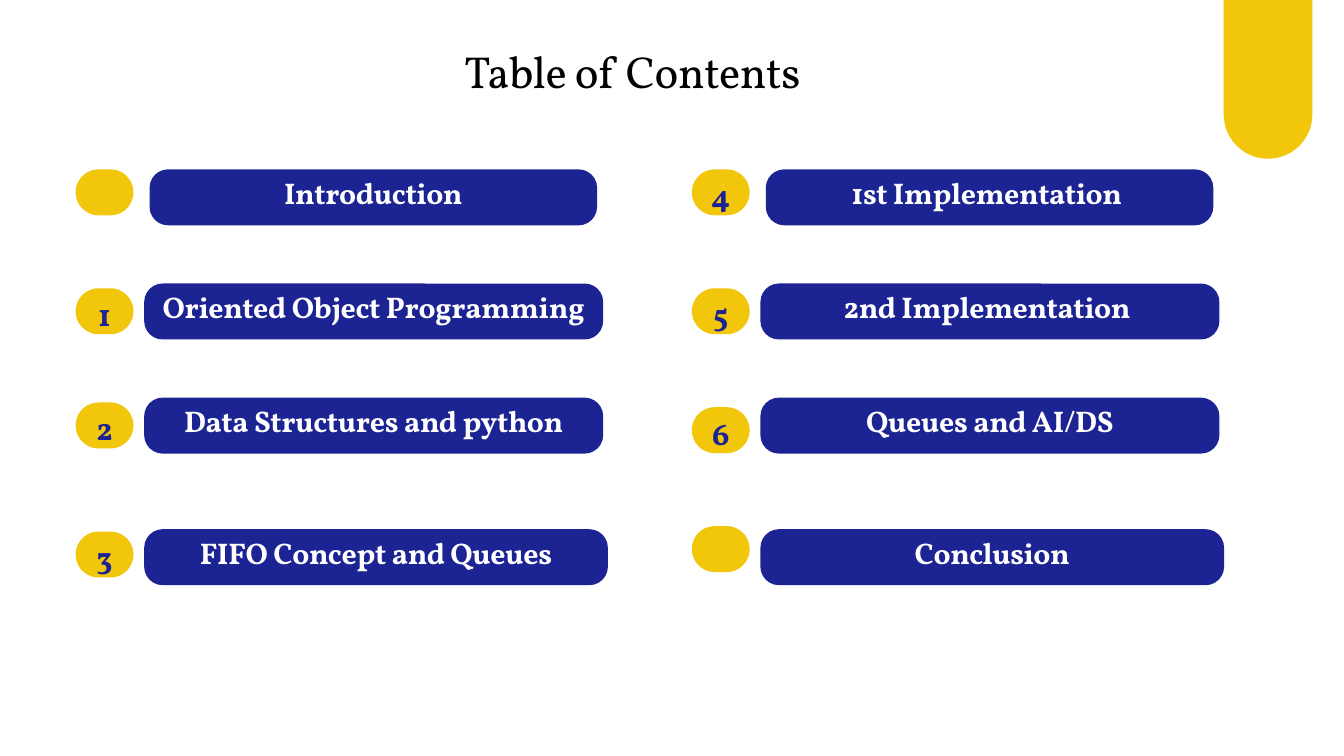
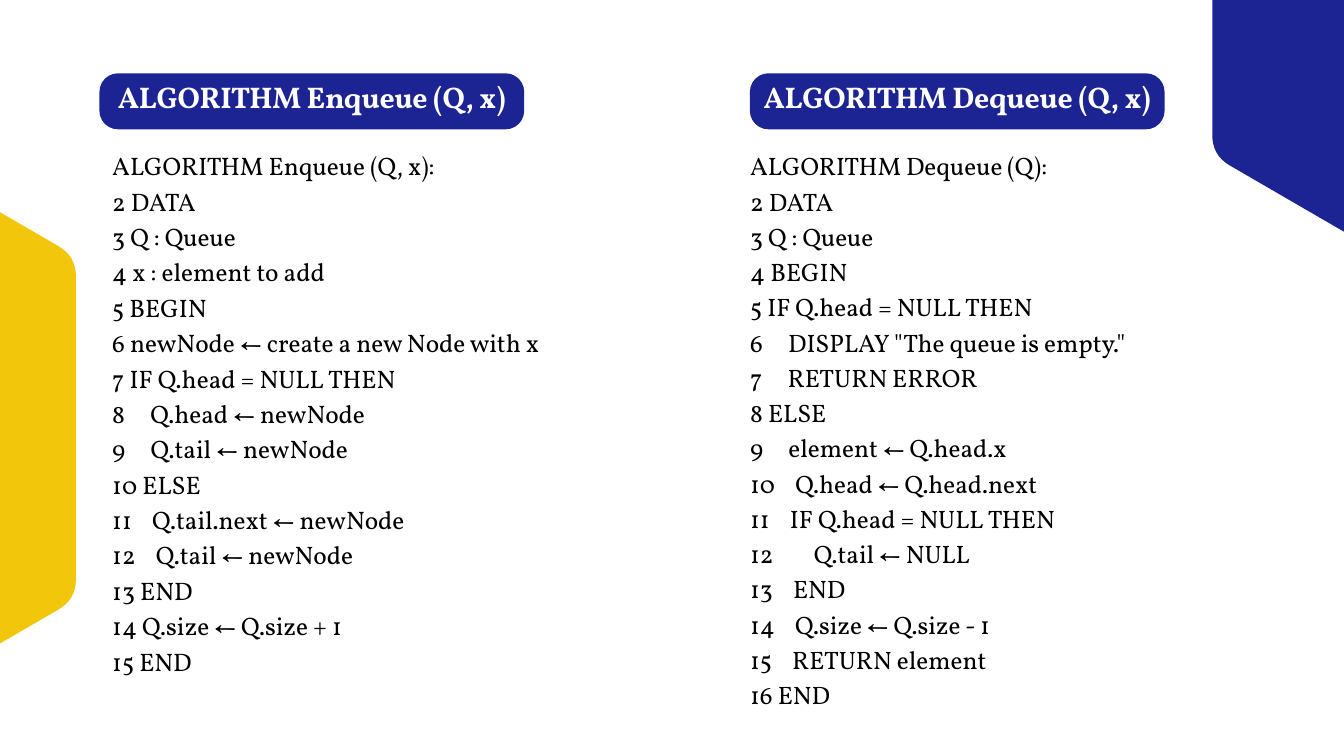
import math
from dataclasses import dataclass

from lxml import etree
from pptx import Presentation
from pptx.dml.color import RGBColor
from pptx.enum.shapes import MSO_SHAPE
from pptx.enum.text import MSO_ANCHOR, MSO_AUTO_SIZE, PP_ALIGN
from pptx.oxml.ns import qn
from pptx.util import Inches, Pt

ROUNDED = MSO_SHAPE.ROUNDED_RECTANGLE
TOP, MIDDLE = MSO_ANCHOR.TOP, MSO_ANCHOR.MIDDLE
LEFT, CENTER = PP_ALIGN.LEFT, PP_ALIGN.CENTER
NO_FIT = MSO_AUTO_SIZE.NONE
TITLE_ONLY, COMPARISON = 5, 4
WIDTH, HEIGHT = Inches(20), Inches(11.25)


@dataclass(frozen=True)
class Theme:
    font: str = "Vollkorn"
    blue: str = "1C2392"
    yellow: str = "F1C60B"
    white: str = "FFFFFF"
    black: str = "000000"
    leading: float = 1.4
    pill_radius: float = 0.33
    pill_height: float = 7.4


THEME = Theme()
STYLES = {
    "title": {"size": 48, "color": THEME.black, "bold": False, "spc": -50, "align": CENTER},
    "pill": {"size": 32, "color": THEME.white, "bold": True, "spc": -30, "align": CENTER},
    "number": {"size": 34, "color": THEME.blue, "bold": True, "spc": 0, "align": CENTER},
    "code": {"size": 27, "color": THEME.black, "bold": False, "spc": 0, "align": LEFT},
}
PILL_INSETS = (0.06, 0, 0.06, 0.23)

COLUMNS = (5.63, 51.48)
PILL_ROWS = ((5.5, 22.4, 33.3), (5.1, 37.5, 34.15), (5.1, 52.6, 34.15), (5.1, 70, 34.5))
DOT_TOPS = ((22.4, 38.13, 53.24, 70.31), [22.4 + 15.73 * i for i in range(4)])
CONTENTS = (
    (("", "Introduction"), ("1", "Oriented Object Programming"),
     ("2", "Data Structures and python"), ("3", "FIFO Concept and Queues")),
    (("4", "1st Implementation "), ("5", "2nd Implementation "),
     ("6", "Queues and AI/DS"), ("", "Conclusion")),
)

ENQUEUE = """ALGORITHM Enqueue (Q, x):
2 DATA
3 Q : Queue
4 x : element to add
5 BEGIN
6 newNode ← create a new Node with x
7 IF Q.head = NULL THEN
8     Q.head ← newNode
9     Q.tail ← newNode
10 ELSE
11    Q.tail.next ← newNode
12    Q.tail ← newNode
13 END
14 Q.size ← Q.size + 1
15 END"""

DEQUEUE = """ALGORITHM Dequeue (Q):
2 DATA
3 Q : Queue
4 BEGIN
5 IF Q.head = NULL THEN
6     DISPLAY "The queue is empty."
7     RETURN ERROR
8 ELSE
9     element ← Q.head.x
10    Q.head ← Q.head.next
11    IF Q.head = NULL THEN
12        Q.tail ← NULL
13    END
14    Q.size ← Q.size - 1
15    RETURN element
16 END"""

ALGORITHMS = (
    {"heading": "ALGORITHM Enqueue (Q, x)", "box": (7.4, 9.7, 31.6, THEME.pill_height),
     "code": ENQUEUE, "code_box": (8.35, 19.25, 35.1, 80), "size": 27.1},
    {"heading": "ALGORITHM Dequeue (Q, x)", "box": (55.8, 9.7, 30.85, THEME.pill_height),
     "code": DEQUEUE, "code_box": (55.82, 19.25, 30.6, 80), "size": 27},
)


def share(left, top, width, height):
    return [int(v * side / 100) for v, side in
            zip((left, top, width, height), (WIDTH, HEIGHT, WIDTH, HEIGHT))]


def paint(sp, color):
    sp.shadow.inherit = False
    sp.fill.solid()
    sp.fill.fore_color.rgb = RGBColor.from_string(color)
    sp.line.fill.background()


def rounded(slide, box, color, radius):
    sp = slide.shapes.add_shape(ROUNDED, *share(*box))
    sp.adjustments[0] = radius
    paint(sp, color)
    return sp


def format_paragraph(p, style):
    pPr = p._p.get_or_add_pPr()
    pPr.set("marL", "0")
    pPr.set("indent", "0")
    etree.SubElement(pPr, qn("a:buNone"))
    values = {"alignment": style["align"], "space_before": Pt(0), "space_after": Pt(0),
              "line_spacing": Pt(round(style["size"] * THEME.leading, 1))}
    for name, value in values.items():
        setattr(p, name, value)


def add_run(p, text, style):
    r = p.add_run()
    r.text = text
    for name, value in {"name": THEME.font, "size": Pt(style["size"]),
                        "bold": style["bold"]}.items():
        setattr(r.font, name, value)
    r.font.color.rgb = RGBColor.from_string(style["color"])
    r._r.get_or_add_rPr().set("spc", str(style["spc"]))


def write(sp, text, style, anchor=TOP, insets=(0, 0, 0, 0)):
    tf = sp.text_frame
    sides = ("margin_left", "margin_top", "margin_right", "margin_bottom")
    values = {"word_wrap": True, "auto_size": NO_FIT, "vertical_anchor": anchor}
    values.update(zip(sides, map(Inches, insets)))
    for name, value in values.items():
        setattr(tf, name, value)
    for i, line in enumerate(text.split("\n")):
        p = tf.add_paragraph() if i else tf.paragraphs[0]
        format_paragraph(p, style)
        add_run(p, line, style)


def fill_placeholder(sp, box, *args):
    sp.left, sp.top, sp.width, sp.height = share(*box)
    write(sp, *args)


def pill(slide, box):
    return rounded(slide, box, THEME.blue, THEME.pill_radius)


def number_dot(slide, left, top, number):
    box = (left, top, 4.3, 6.08)
    rounded(slide, box, THEME.yellow, 0.5)
    if number:
        write(slide.shapes.add_textbox(*share(*box)), number, STYLES["number"])


def hexagon(slide, center, width, color, rounding=Inches(0.3), stretch=1.005, steps=8):
    cx, cy, width, _ = share(*center, width, 0)
    radius = width / math.sqrt(3)
    corners = [(cx + radius * math.sin(k * math.pi / 3),
                cy - radius * stretch * math.cos(k * math.pi / 3)) for k in range(6)]
    points = []
    for k, (x, y) in enumerate(corners):
        (ax, ay), (bx, by) = [(x + (nx - x) * rounding / radius, y + (ny - y) * rounding / radius)
                              for nx, ny in (corners[k - 1], corners[(k + 1) % 6])]
        for i in range(steps + 1):
            t = i / steps
            a, b, c = (1 - t) ** 2, 2 * t * (1 - t), t ** 2
            points.append((round(a * ax + b * x + c * bx), round(a * ay + b * y + c * by)))
    builder = slide.shapes.build_freeform(*points[0])
    builder.add_line_segments(points[1:], close=True)
    sp = builder.convert_to_shape()
    paint(sp, color)
    return sp


def send_back(slide, sp):
    slide.shapes._spTree.insert(2, sp._element)


def contents_slide(prs):
    slide = prs.slides.add_slide(prs.slide_layouts[TITLE_ONLY])
    fill_placeholder(slide.shapes.title, (33.45, 4.55, 27.85, 8.4),
                     "Table of Contents ", STYLES["title"])
    rounded(slide, (91.05, -9.1, 6.6, 30.1), THEME.yellow, 0.5)
    for left, tops, entries in zip(COLUMNS, DOT_TOPS, CONTENTS):
        for dot_top, (shift, top, width), (number, text) in zip(tops, PILL_ROWS, entries):
            sp = pill(slide, (left + shift, top, width, THEME.pill_height))
            write(sp, text, STYLES["pill"], MIDDLE, PILL_INSETS)
            number_dot(slide, left, dot_top, number)


def algorithms_slide(prs):
    slide = prs.slides.add_slide(prs.slide_layouts[COMPARISON])
    title, *bodies = slide.placeholders
    title._element.getparent().remove(title._element)
    for item, heading, code in zip(ALGORITHMS, bodies[::2], bodies[1::2]):
        send_back(slide, pill(slide, item["box"]))
        fill_placeholder(heading, item["box"], item["heading"], STYLES["pill"],
                         MIDDLE, PILL_INSETS)
        fill_placeholder(code, item["code_box"], item["code"],
                         {**STYLES["code"], "size": item["size"]})
    send_back(slide, hexagon(slide, (112.1, -2.05), 43.8, THEME.blue))
    send_back(slide, hexagon(slide, (-16.35, 56.6), 44, THEME.yellow))


def main():
    prs = Presentation()
    prs.slide_width, prs.slide_height = WIDTH, HEIGHT
    contents_slide(prs)
    algorithms_slide(prs)
    prs.save("out.pptx")


if __name__ == "__main__":
    main()
